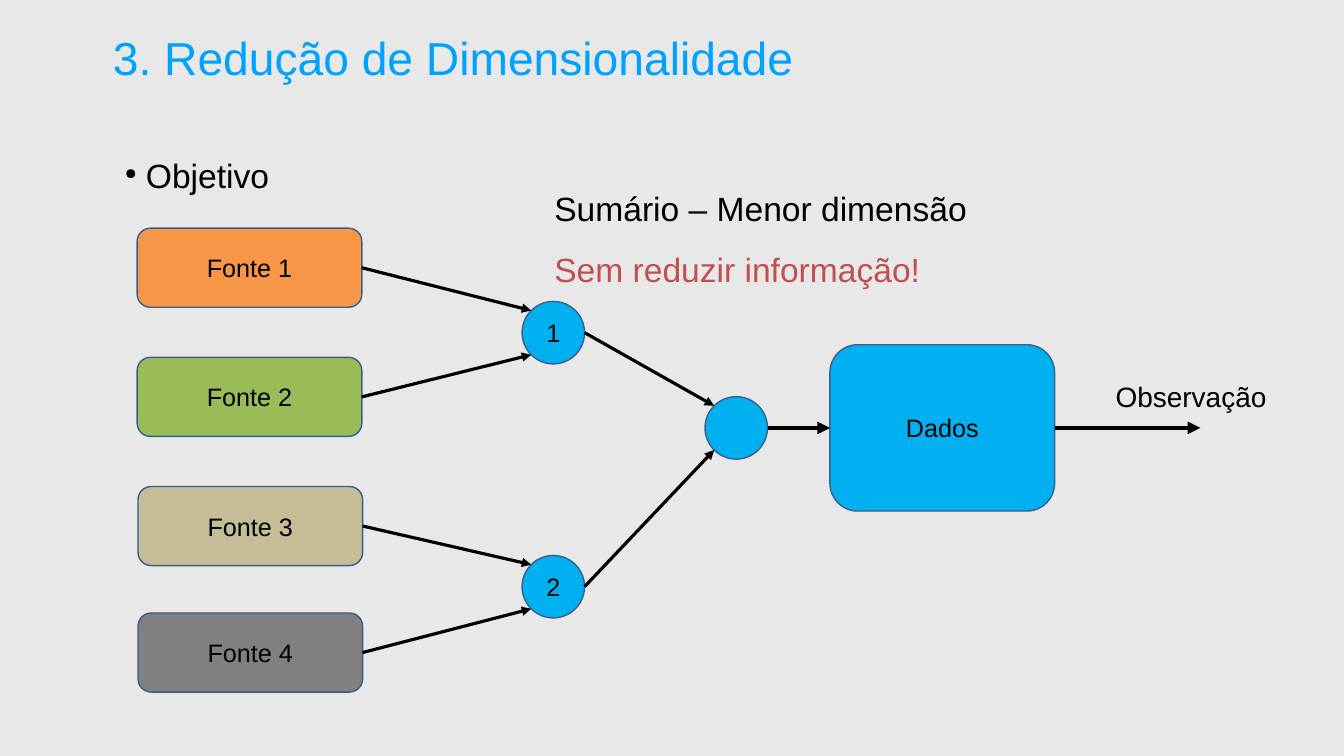
import math

import pptx
import pptx.dml.color
import pptx.enum.shapes
import pptx.enum.text
import pptx.util
from lxml import etree
from pptx.oxml.ns import qn

Pt = pptx.util.Pt
SHAPE = pptx.enum.shapes.MSO_SHAPE
ANCHOR = pptx.enum.text.MSO_ANCHOR
ALIGN = pptx.enum.text.PP_ALIGN

COLORS = {
    "background": "E8E8E8", "title": "00A2FF", "text": "000000",
    "warning": "C0504D", "outline": "3A5F8C", "node": "00B0F0",
    "orange": "F79646", "green": "9BBB59", "tan": "C4BD97", "gray": "808080",
}
NODE = 89.3
SOURCE_W, SOURCE_H = 321, 113
LEFT, RIGHT = 1, 3


def rgb(name):
    return pptx.dml.color.RGBColor.from_string(COLORS[name])


def write(p, text, size=36, color="text", align=None, spacing=None):
    p.alignment = align
    p.line_spacing = spacing
    r = p.add_run()
    r.text = text
    r.font.name = "Arial"
    r.font.size = Pt(size)
    r.font.color.rgb = rgb(color)


def add_textbox(slide, box, inset=4.3, anchor=ANCHOR.TOP):
    tf = slide.shapes.add_textbox(*map(Pt, box)).text_frame
    tf.word_wrap = True
    tf.vertical_anchor = anchor
    tf.margin_left = tf.margin_right = Pt(inset)
    tf.margin_top = tf.margin_bottom = Pt(min(inset, 4.3))
    return tf


def add_block(slide, kind, box, fill, text=None):
    sp = slide.shapes.add_shape(kind, *map(Pt, box))
    sp.shadow.inherit = False
    sp.fill.solid()
    sp.fill.fore_color.rgb = rgb(fill)
    sp.line.color.rgb = rgb("outline")
    sp.line.width = Pt(2)
    if text:
        tf = sp.text_frame
        tf.vertical_anchor = ANCHOR.MIDDLE
        write(tf.paragraphs[0], text, align=ALIGN.CENTER)
    return sp


def add_node(slide, left, top, text=None):
    return add_block(slide, SHAPE.OVAL, (left, top, NODE, NODE), "node", text)


def rim(node, degrees):
    """Point on a circle's edge, measured clockwise from its right side."""
    radius, angle = node.width / 2, math.radians(degrees)
    return (round(node.left + radius * (1 + math.cos(angle))),
            round(node.top + radius * (1 + math.sin(angle))))


def side(block, site):
    """Middle of a block's left or right side."""
    x = block.left + (block.width if site == RIGHT else 0)
    return x, block.top + block.height // 2


def add_arrow(slide, start, end, width=4.5):
    line = slide.shapes.add_connector(
        pptx.enum.shapes.MSO_CONNECTOR.STRAIGHT, *start, *end)
    line.line.color.rgb = rgb("text")
    line.line.width = Pt(width)
    etree.SubElement(line.line._get_or_add_ln(), qn("a:tailEnd"), type="triangle")
    etree.SubElement(line._element.spPr, qn("a:effectLst"))
    return line


def add_heading(slide, box):
    left, top, width, height = box
    tf = add_textbox(slide, (left, top, width, 87), anchor=ANCHOR.MIDDLE)
    write(tf.paragraphs[0], "3. Redução de Dimensionalidade", 66, "title")

    tf = add_textbox(slide, (left, top + 150, width, height - 150))
    p = tf.paragraphs[0]
    pPr = p._p.get_or_add_pPr()
    pPr.set("marL", str(Pt(47.2)))
    pPr.set("indent", str(Pt(-29.9)))
    color = etree.SubElement(pPr, qn("a:buClr"))
    etree.SubElement(color, qn("a:srgbClr"), val=COLORS["text"])
    etree.SubElement(pPr, qn("a:buSzPct"), val="45000")
    etree.SubElement(pPr, qn("a:buChar"), char="●")
    write(p, "Objetivo", 48, spacing=1.5)


def add_summary(slide, box):
    tf = add_textbox(slide, box)
    lines = [("Sumário – Menor dimensão", "text"),
             ("Sem reduzir informação!", "warning")]
    for i, (text, color) in enumerate(lines):
        p = tf.add_paragraph() if i else tf.paragraphs[0]
        p._p.get_or_add_pPr().set("marL", str(Pt(17.3)))
        write(p, text, 48, color, spacing=1.5)


def add_source_pair(slide, box, sources, label, node_offset):
    """Two sources at the left of the box, merged into a node at its right."""
    left, top, width, height = box
    node = add_node(slide, left + width - NODE, top + node_offset, label)
    tops = (top, top + height - SOURCE_H)
    for (text, fill), y, angle in zip(sources, tops, (225, 135)):
        source = add_block(slide, SHAPE.ROUNDED_RECTANGLE,
                           (left, y, SOURCE_W, SOURCE_H), fill, text)
        arrow = add_arrow(slide, side(source, RIGHT), rim(node, angle))
        arrow.begin_connect(source, RIGHT)
    return node


def add_output(slide, box, inputs):
    """Joining node, data block and observation arrow, left to right."""
    left, top, width, height = box
    node = add_node(slide, left, top + (height - NODE) / 2)
    for source, angle in zip(inputs, (225, 135)):
        add_arrow(slide, rim(source, 0), rim(node, angle))

    data = add_block(slide, SHAPE.ROUNDED_RECTANGLE,
                     (left + 178.5, top, SOURCE_W, height), "node", "Dados")
    arrow = add_arrow(slide, rim(node, 0), side(data, LEFT), 6)
    arrow.end_connect(data, LEFT)
    start = side(data, RIGHT)
    arrow = add_arrow(slide, start, (Pt(left + width), start[1]), 6)
    arrow.begin_connect(data, RIGHT)

    tf = add_textbox(slide, (left + 579.5, top + 46.5, 257, 55), inset=7.2)
    tf.margin_top = tf.margin_bottom = Pt(3.6)
    write(tf.paragraphs[0], "Observação", 40)


def main():
    prs = pptx.Presentation()
    prs.slide_width, prs.slide_height = Pt(1920.24), Pt(1080)
    slide = prs.slides.add_slide(prs.slide_layouts[6])
    slide.background.fill.solid()
    slide.background.fill.fore_color.rgb = rgb("background")

    add_heading(slide, (157, 38, 1124, 302))
    upper = add_source_pair(slide, (196, 326, 639.2, 297.5),
                            [("Fonte 1", "orange"), ("Fonte 2", "green")], "1", 104.6)
    lower = add_source_pair(slide, (197.2, 695, 638, 293.7),
                            [("Fonte 3", "tan"), ("Fonte 4", "gray")], "2", 98.5)
    add_output(slide, (1007.3, 492.5, 707.7, 237.6), (upper, lower))
    add_summary(slide, (770.4, 235.4, 1124, 152))
    prs.save("out.pptx")


if __name__ == "__main__":
    main()
